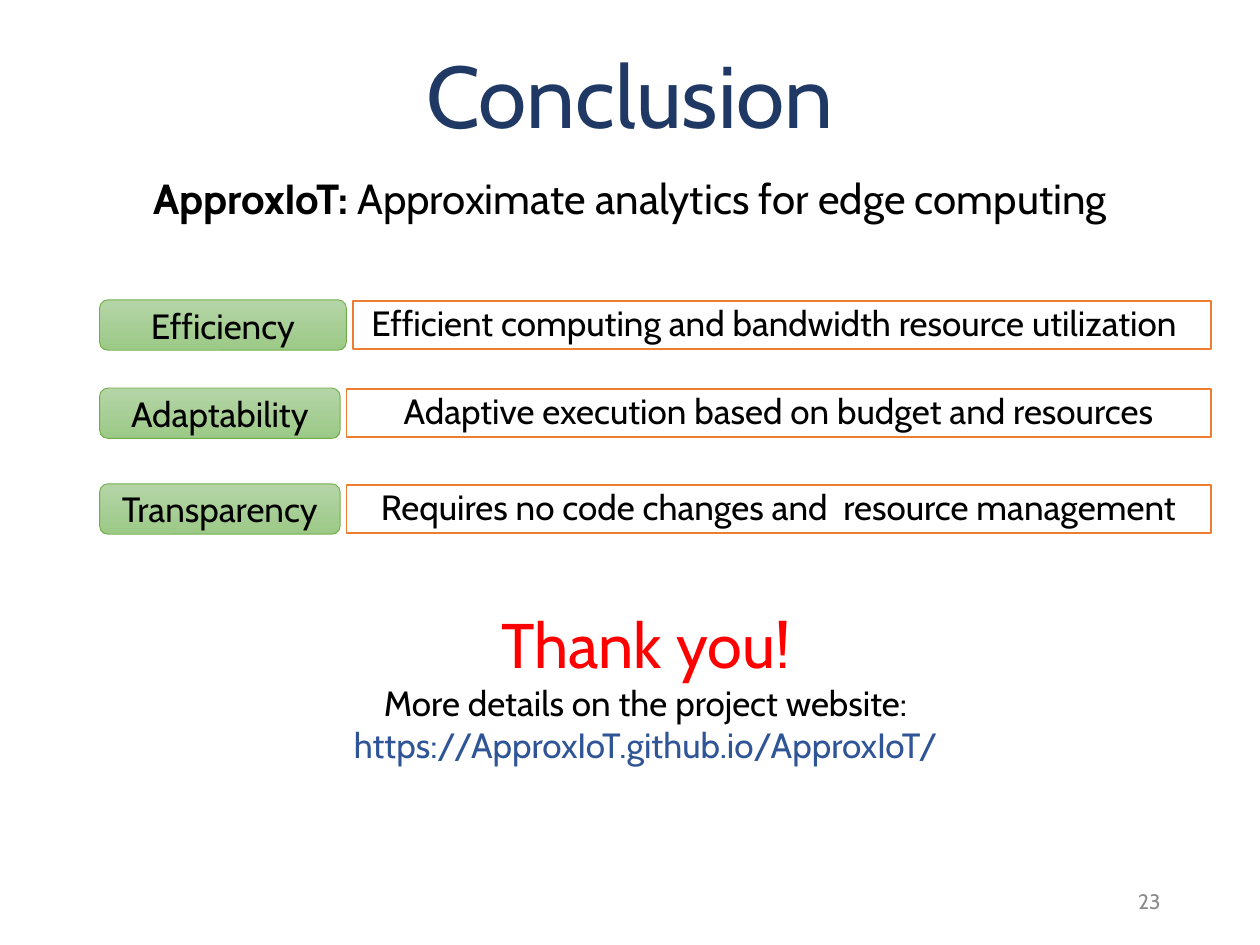
import collections

import pptx
import pptx.dml.color
import pptx.enum.shapes
import pptx.enum.text
import pptx.util

COLS, ROWS = 100, 75
FONT = "Cabin"
COLORS = {
    "title": "203864", "text": "000000", "thanks": "FF0000", "link": "2F5597",
    "number": "8C8C8C", "label_top": "B5D5A7", "label_bottom": "9CC987",
    "label_line": "70AD47", "statement": "FFFFFF", "statement_line": "ED7D31",
}
ALIGN = pptx.enum.text.PP_ALIGN
ANCHOR = pptx.enum.text.MSO_ANCHOR
SHAPE = pptx.enum.shapes.MSO_SHAPE

# Measured in grid columns and rows
Box = collections.namedtuple("Box", "x y w h")

prs = pptx.Presentation()
prs.slide_width = pptx.util.Inches(10)
prs.slide_height = pptx.util.Inches(7.5)


def emu(box):
    """Turn grid units into slide lengths."""
    col, row = prs.slide_width / COLS, prs.slide_height / ROWS
    return [round(n) for n in (box.x * col, box.y * row, box.w * col, box.h * row)]


def rgb(name):
    return pptx.dml.color.RGBColor.from_string(COLORS[name])


def add_text(p, text, size=20, color="text", bold=False, align=ALIGN.CENTER, spacing=1.0):
    p.alignment = align
    p.line_spacing = spacing
    r = p.add_run()
    r.text = text
    r.font.name = FONT
    r.font.size = pptx.util.Pt(size)
    r.font.bold = bold
    r.font.color.rgb = rgb(color)


def add_frame(s, box, anchor=ANCHOR.TOP, wrap=True):
    tf = s.shapes.add_textbox(*emu(box)).text_frame
    tf.word_wrap = wrap
    tf.vertical_anchor = anchor
    return tf


def add_block(s, kind, box, line, width):
    sp = s.shapes.add_shape(kind, *emu(box))
    sp.shadow.inherit = False
    sp.line.color.rgb = rgb(line)
    sp.line.width = pptx.util.Pt(width)
    sp.text_frame.word_wrap = True
    sp.text_frame.vertical_anchor = ANCHOR.MIDDLE
    return sp


def add_heading(s, box):
    title = add_frame(s, box._replace(h=9.9), ANCHOR.MIDDLE)
    add_text(title.paragraphs[0], "Conclusion", size=50, color="title", spacing=0.9)
    subtitle = add_frame(s, Box(3, box.y + 10.2, 94, 5)).paragraphs[0]
    add_text(subtitle, "ApproxIoT: ", size=24, bold=True)
    add_text(subtitle, "Approximate analytics for edge computing", size=24)


def add_property(s, box, label, statement, label_w, inset_right):
    """Place a green label and, beside it, the outlined statement."""
    sp = add_block(s, SHAPE.ROUNDED_RECTANGLE, box._replace(w=label_w), "label_line", 0.5)
    sp.fill.gradient()
    sp.fill.gradient_angle = 270
    for stop, name in zip(sp.fill.gradient_stops, ("label_top", "label_bottom")):
        stop.color.rgb = rgb(name)
    add_text(sp.text_frame.paragraphs[0], label)

    offset = label_w + 0.5
    frame = Box(box.x + offset, box.y + 0.1, box.w - offset, box.h - 0.2)
    sp = add_block(s, SHAPE.RECTANGLE, frame, "statement_line", 1)
    sp.fill.solid()
    sp.fill.fore_color.rgb = rgb("statement")
    sp.text_frame.margin_right = pptx.util.Inches(inset_right)
    add_text(sp.text_frame.paragraphs[0], statement, spacing=0.9)


def add_properties(s, box):
    rows = [
        (0, "Efficiency", "Efficient computing and bandwidth resource utilization", 19.6, 0.22),
        (7, "Adaptability", "Adaptive execution based on budget and resources", 19.1, 0.1),
        (14.6, "Transparency", "Requires no code changes and  resource management", 19.1, 0.1),
    ]
    for offset, *content in rows:
        add_property(s, Box(box.x, box.y + offset, box.w, 4), *content)


def add_closing(s, box):
    tf = add_frame(s, box, wrap=False)
    lines = [
        ("Thank you!", 36, "thanks"),
        ("More details on the project website:", 20, "text"),
        ("https://ApproxIoT.github.io/ApproxIoT/", 20, "link"),
    ]
    for i, (text, size, color) in enumerate(lines):
        p = tf.add_paragraph() if i else tf.paragraphs[0]
        add_text(p, text, size=size, color=color)


def add_page_number(s, box):
    tf = add_frame(s, box, ANCHOR.MIDDLE)
    add_text(tf.paragraphs[0], "23", size=12, color="number", align=ALIGN.RIGHT)


def main():
    s = prs.slides.add_slide(prs.slide_layouts[6])
    add_heading(s, Box(6.9, 3, 86.2, 15.2))
    add_properties(s, Box(7.9, 23.8, 88.2, 18.6))
    add_closing(s, Box(27, 47.6, 48.5, 13.8))
    add_page_number(s, Box(70.6, 69.5, 22.5, 4))
    prs.save("out.pptx")


if __name__ == "__main__":
    main()
